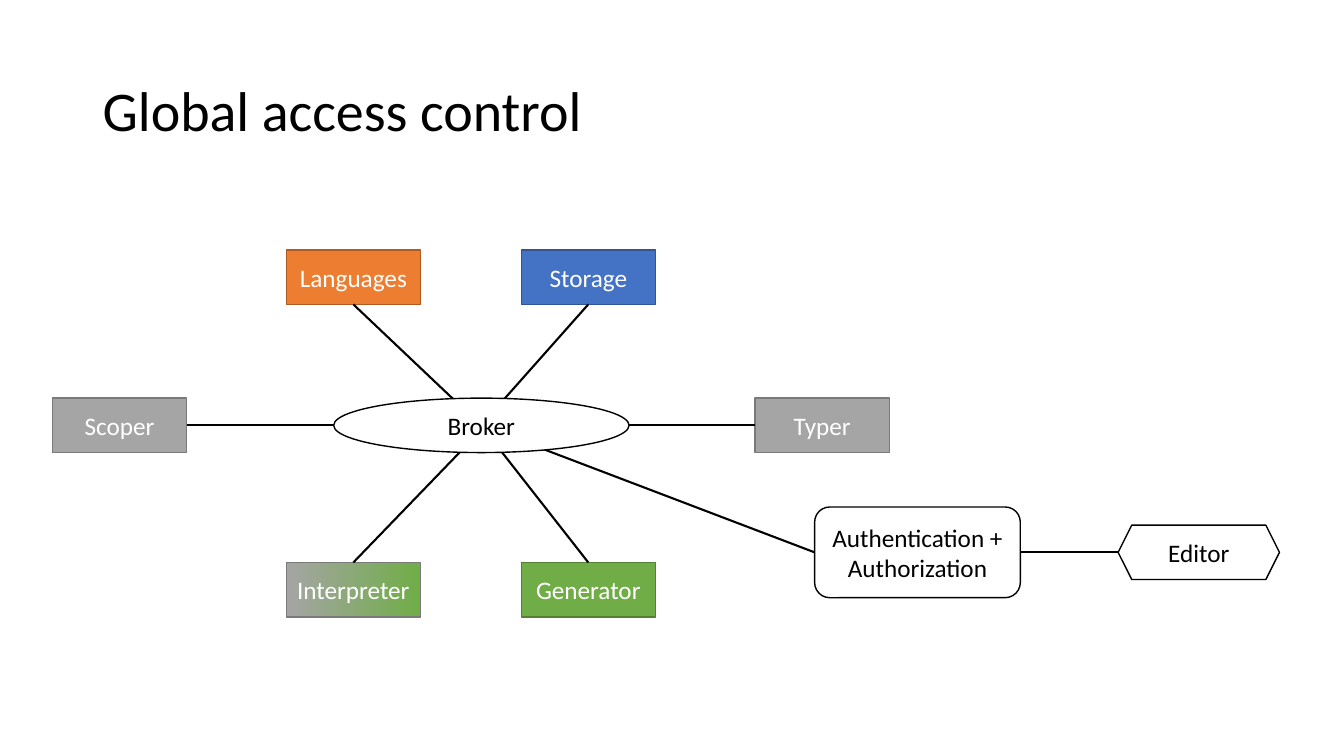
from lxml import etree
from pptx import Presentation
from pptx.dml.color import RGBColor
from pptx.enum.shapes import MSO_CONNECTOR, MSO_SHAPE
from pptx.enum.text import MSO_ANCHOR, PP_ALIGN
from pptx.oxml.ns import qn
from pptx.util import Inches, Pt

RECT, OVAL = MSO_SHAPE.RECTANGLE, MSO_SHAPE.OVAL
HEXAGON, ROUNDED = MSO_SHAPE.HEXAGON, MSO_SHAPE.ROUNDED_RECTANGLE
STRAIGHT = MSO_CONNECTOR.STRAIGHT
MIDDLE, CENTER = MSO_ANCHOR.MIDDLE, PP_ALIGN.CENTER
TOP, LEFT, BOTTOM, RIGHT = range(4)

FONT = "Calibri"
BLACK, WHITE = "000000", "FFFFFF"
GRAY, GRAY_EDGE = "A5A5A5", "7A7A7A"
GREEN = "70AD47"

TITLE = "Global access control"
HUB = (4.77, 4.22)
SERVICE_SIZE = (1.33, 0.54)
COLUMNS = (0.52, 2.84, 5.17, 7.49)
ROWS = (2.48, 3.95, 5.58)
SERVICES = [
    ("Storage", 2, 0, ["4472C4"], "325491", BOTTOM, HUB),
    ("Languages", 1, 0, ["ED7D31"], "AF5C24", BOTTOM, HUB),
    ("Typer", 3, 1, [GRAY], GRAY_EDGE, LEFT, HUB),
    ("Generator", 2, 2, [GREEN], "538035", TOP, HUB),
    ("Scoper", 0, 1, [GRAY], GRAY_EDGE, RIGHT, HUB),
    ("Interpreter", 1, 2, [GRAY, GREEN], GRAY_EDGE, TOP, (4.77, 4.27)),
]
BROKER = (3.31, 3.95, 2.93, 0.54)
EDITOR = (11.09, 5.21, 1.6, 0.54)
ACCESS = (8.08, 5.03, 2.04, 0.9)


def color(value):
    return RGBColor.from_string(value)


def write(frame, lines, size, ink, align=None):
    frame.word_wrap = True
    frame.vertical_anchor = MIDDLE
    frame.text = "\n".join(lines)
    for para in frame.paragraphs:
        para.alignment = align
        para.font.name = FONT
        para.font.size = Pt(size)
        para.font.color.rgb = color(ink)


def add_box(kind, place, lines, fills=(WHITE,), edge=BLACK, ink=BLACK):
    box = page.shapes.add_shape(kind, *map(Inches, place))
    box.shadow.inherit = False
    if len(fills) == 1:
        box.fill.solid()
        box.fill.fore_color.rgb = color(fills[0])
    else:
        box.fill.gradient()
        box.fill.gradient_angle = 0
        for stop, fill in zip(box.fill.gradient_stops, fills):
            stop.color.rgb = color(fill)
    box.line.color.rgb = color(edge)
    box.line.width = Pt(1)
    write(box.text_frame, lines, 18, ink, CENTER)
    return box


def link(box, site, end):
    x, y = map(Inches, end)
    line = page.shapes.add_connector(STRAIGHT, x, y, x, y)
    line.begin_connect(box, site)
    line.line.color.rgb = color(BLACK)
    line.line.width = Pt(1.5)
    etree.SubElement(line._element.spPr, qn("a:effectLst"))


deck = Presentation()
deck.slide_width, deck.slide_height = Inches(13.33), Inches(7.5)
page = deck.slides.add_slide(deck.slide_layouts[6])

title = page.shapes.add_textbox(*map(Inches, (0.92, 0.4, 11.5, 1.45)))
write(title.text_frame, [TITLE], 40, BLACK)
title.text_frame.paragraphs[0].line_spacing = 0.9

for name, column, row, fills, edge, site, end in SERVICES:
    place = (COLUMNS[column], ROWS[row], *SERVICE_SIZE)
    service = add_box(RECT, place, [name], fills, edge, WHITE)
    link(service, site, end)

access = add_box(ROUNDED, ACCESS, ["Authentication +", "Authorization"])
link(access, LEFT, HUB)
link(access, RIGHT, (EDITOR[0], EDITOR[1] + EDITOR[3] / 2))
add_box(OVAL, BROKER, ["Broker"])
add_box(HEXAGON, EDITOR, ["Editor"])

deck.save("out.pptx")
